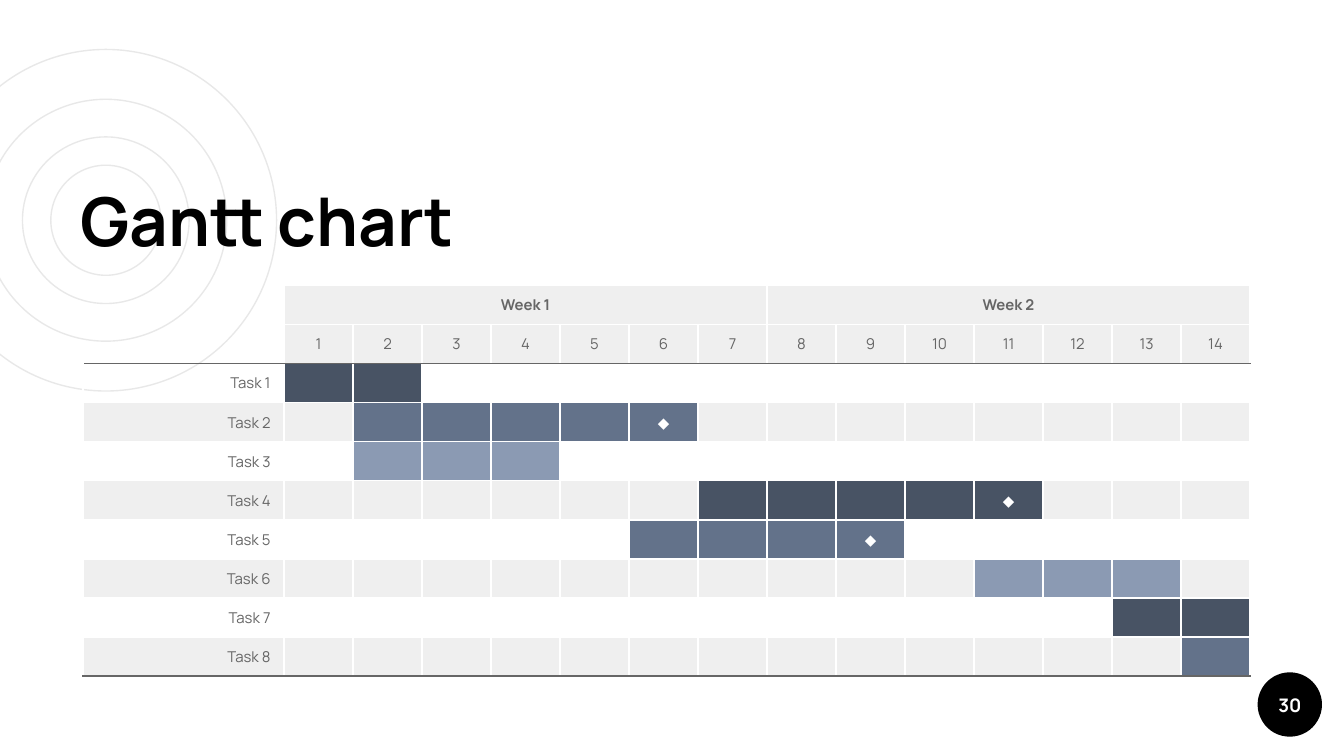
from lxml.etree import SubElement
from pptx import Presentation
from pptx.dml.color import RGBColor
from pptx.enum.shapes import MSO_SHAPE
from pptx.enum.text import MSO_ANCHOR, PP_ALIGN
from pptx.oxml.ns import qn
from pptx.util import Pt

FONT = "Manrope"
WHITE, BLACK, GRAY, PALE, RING = "FFFFFF", "000000", "666666", "EFEFEF", "E8E8E8"
DARK, MID, LIGHT = "485364", "63728A", "8B9AB3"
DAYS, WEEK = 14, 7
TASKS = [
    (1, 2, DARK, None),
    (2, 6, MID, 6),
    (2, 4, LIGHT, None),
    (7, 11, DARK, 11),
    (6, 9, MID, 9),
    (11, 13, LIGHT, None),
    (13, 14, DARK, None),
    (14, 14, MID, None),
]


def color(code):
    return RGBColor.from_string(code)


def paint(fill, code):
    if code:
        fill.solid()
        fill.fore_color.rgb = color(code)
    else:
        fill.background()


def write(frame, text, size=8, ink=GRAY, bold=False, align=PP_ALIGN.CENTER):
    para = frame.paragraphs[0]
    para.alignment = align
    if not text:
        SubElement(para._p, qn("a:endParaRPr"), sz=str(size * 100))
        return
    run = para.add_run()
    run.text = text
    font = run.font
    font.name, font.size, font.bold = FONT, Pt(size), bold
    font.color.rgb = color(ink)


def label(slide, box, text, anchor, **style):
    frame = slide.shapes.add_textbox(*map(Pt, box)).text_frame
    frame.word_wrap = True
    frame.vertical_anchor = anchor
    frame.margin_left = frame.margin_right = Pt(7.2)
    frame.margin_top = frame.margin_bottom = Pt(7.2)
    write(frame, text, **style)


def circle(slide, box, fill=None, line=None):
    shape = slide.shapes.add_shape(MSO_SHAPE.OVAL, *map(Pt, box))
    shape.shadow.inherit = False
    paint(shape.fill, fill)
    paint(shape.line.fill, line)
    if line:
        shape.line.width = Pt(0.75)


def rings(slide, box):
    left, top, width, height = box
    for size in (width, 89.3, 129.6, 59):
        gap = (width - size) / 2
        circle(slide, (left + gap, top + gap, size, size), line=RING)


def title(slide, box):
    label(slide, box, "Gantt chart", MSO_ANCHOR.BOTTOM, size=36, ink=BLACK,
          bold=True, align=PP_ALIGN.LEFT)


def badge(slide, box):
    circle(slide, box, fill=BLACK)
    label(slide, box, "30", MSO_ANCHOR.MIDDLE, size=10, ink=WHITE, bold=True)


def edge(cell, **sides):
    props = cell._tc.get_or_add_tcPr()
    for side in "LRTB":
        line = SubElement(props, qn("a:ln" + side), w=str(Pt(0.75)))
        code = sides[side]
        if code:
            solid = SubElement(line, qn("a:solidFill"))
            SubElement(solid, qn("a:srgbClr"), val=code)
        else:
            SubElement(line, qn("a:noFill"))


def content(row, col):
    if row == 0:
        first = col % WEEK == 1
        text = f"Week {col // WEEK + 1}" if first else ""
        return text, PALE if col else None, {"bold": True}
    if row == 1:
        return (str(col), PALE, {}) if col else ("", None, {})
    base = PALE if row % 2 else None
    if col == 0:
        return f"Task {row - 1}", base, {"align": PP_ALIGN.RIGHT}
    start, end, fill, mark = TASKS[row - 2]
    text = "◆" if col == mark else ""
    return text, fill if start <= col <= end else base, {"ink": WHITE}


def plan(slide, box):
    left, top, width, height = box
    count, first = len(TASKS) + 2, 107.7
    table = slide.shapes.add_table(count, DAYS + 1, *map(Pt, box)).table
    table.first_row = table.horz_banding = False
    for row in table.rows:
        row.height = Pt(height / count)
    for col, part in enumerate(table.columns):
        part.width = Pt((width - first) / DAYS if col else first)
    for row in range(count):
        for col in range(DAYS + 1):
            cell = table.cell(row, col)
            text, fill, style = content(row, col)
            side = None if row < 2 and col == 0 else WHITE
            edge(cell, L=side, R=WHITE, T=GRAY if row == 2 else side,
                 B=GRAY if row in (1, count - 1) else side)
            paint(cell.fill, fill)
            cell.vertical_anchor = MSO_ANCHOR.MIDDLE
            cell.margin_left = cell.margin_right = Pt(7.2)
            cell.margin_top = cell.margin_bottom = Pt(3.6)
            write(cell.text_frame, text, **style)
    for col in range(1, DAYS, WEEK):
        table.cell(0, col).merge(table.cell(0, col + WEEK - 1))


def main():
    deck = Presentation()
    deck.slide_width, deck.slide_height = Pt(720), Pt(405)
    slide = deck.slides.add_slide(deck.slide_layouts[6])
    paint(slide.background.fill, WHITE)
    rings(slide, (-34.8, 26.5, 183, 183))
    title(slide, (36, 92.2, 411, 54))
    plan(slide, (44.5, 153, 625.5, 209.4))
    badge(slide, (673.7, 360.2, 34.5, 34.5))
    deck.save("out.pptx")


if __name__ == "__main__":
    main()
